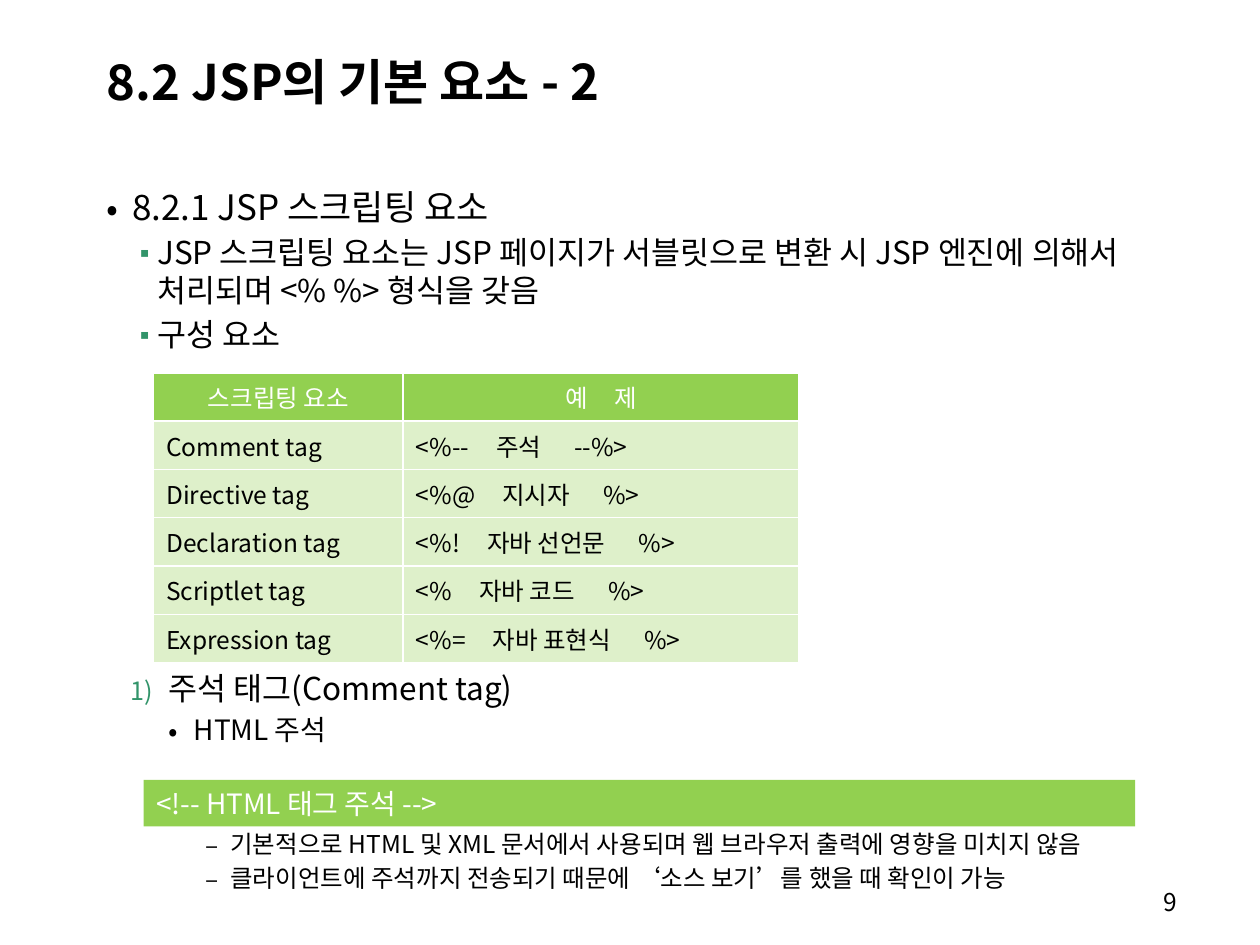
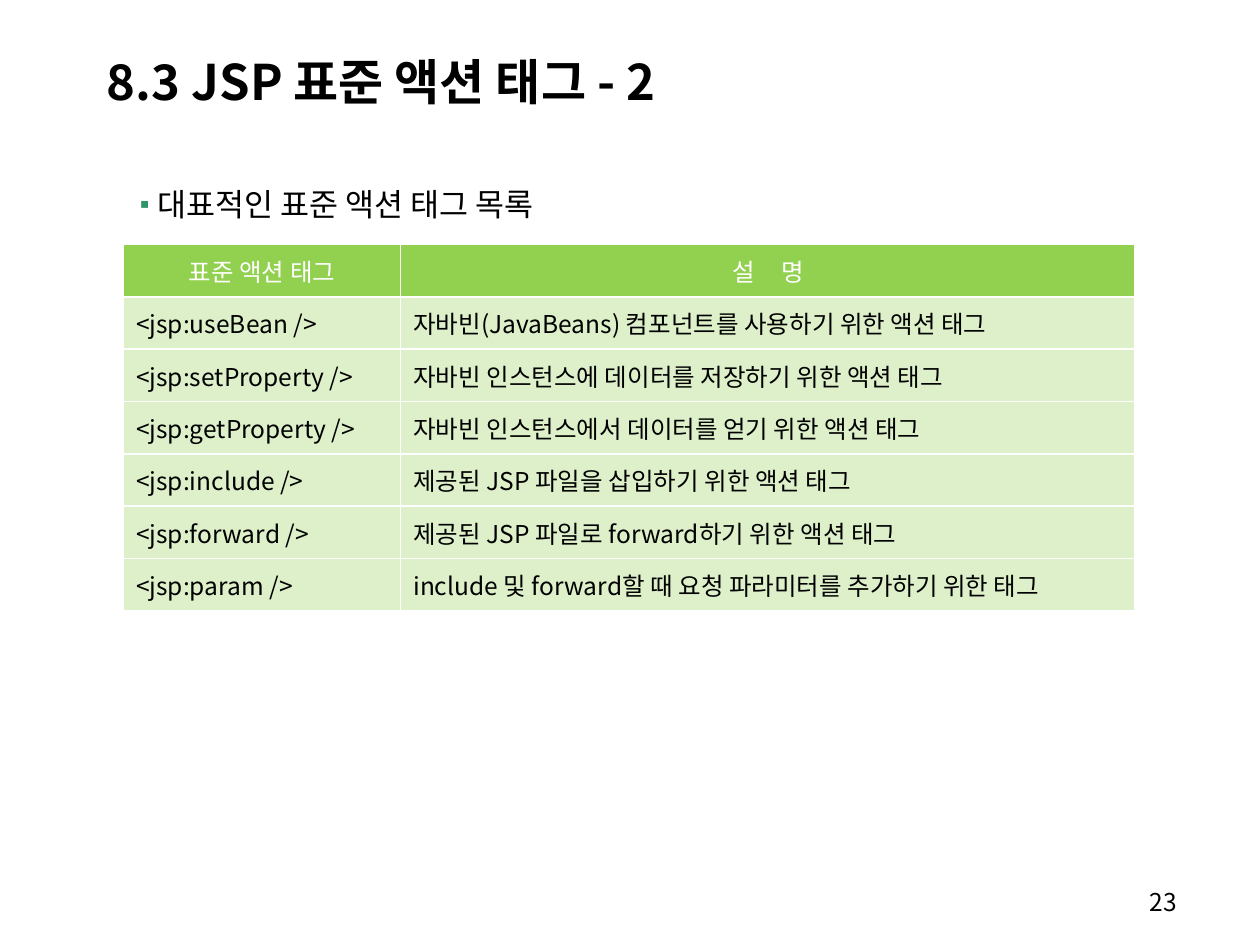
"""Builds two lecture slides on JSP scripting elements and standard action tags."""
from lxml import etree
from pptx import Presentation
from pptx import util as u
from pptx.dml.color import RGBColor
from pptx.enum import shapes, text
from pptx.oxml.ns import qn

WIDTH, HEIGHT = 10, 7.5
FONT = "Noto Sans CJK KR"
BLACK, WHITE, GREEN, BULLET_GREEN = "000000", "FFFFFF", "92D050", "32946A"
TINT = 30
LEFT, BODY_TOP, BODY_WIDTH = 0.75, 1.42, 8.73
SPACE_SHARE = 0.2
LATIN_SPACE, HANGUL_SPACE = 0.22, 0.28

# style: level, left indent, hanging indent, size, bullet, bullet colour
STYLES = {
    "topic": (0, 0.2, 0.2, 20, "•", None),
    "point": (1, 0.4, 0.2, 18, "▪", BULLET_GREEN),
    "number": (1, 0.49, 0.3, 18, "arabicParenR", BULLET_GREEN),
    "detail": (2, 0.69, 0.2, 16, "•", None),
    "note": (3, 0.98, 0.2, 14, "–", None),
}

# a cell given as a tuple has its parts set apart by a gap of that many spaces
SLIDES = [
    {
        "title": "8.2 JSP의 기본 요소 - 2",
        "number": "9",
        "bodies": [
            (BODY_TOP, 1.5, [
                ("topic", "8.2.1 JSP 스크립팅 요소"),
                ("point", "JSP 스크립팅 요소는 JSP 페이지가 서블릿으로 변환 시 JSP 엔진에 의해서 "
                          "처리되며 <% %> 형식을 갖음"),
                ("point", "구성 요소"),
            ]),
            (5.26, 0.75, [
                ("number", "주석 태그(Comment tag)"),
                ("detail", "HTML 주석"),
            ]),
            (6.53, 0.6, [
                ("note", "기본적으로 HTML 및 XML 문서에서 사용되며 웹 브라우저 출력에 영향을 미치지 않음"),
                ("note", "클라이언트에 주석까지 전송되기 때문에 ‘소스 보기’를 했을 때 확인이 가능"),
            ]),
        ],
        "table": {
            "left": 1.22, "top": 2.96, "columns": (1.98, 3.14), "height": 2.3,
            "cells": [
                ("스크립팅 요소", (4, "예", "제")),
                ("Comment tag", (5, "<%--", "주석", "--%>")),
                ("Directive tag", (5, "<%@", "지시자", "%>")),
                ("Declaration tag", (5, "<%!", "자바 선언문", "%>")),
                ("Scriptlet tag", (5, "<%", "자바 코드", "%>")),
                ("Expression tag", (5, "<%=", "자바 표현식", "%>")),
            ],
        },
        "band": "<!-- HTML 태그 주석 -->",
    },
    {
        "title": "8.3 JSP 표준 액션 태그 - 2",
        "number": "23",
        "bodies": [(BODY_TOP, 0.5, [("point", "대표적인 표준 액션 태그 목록")])],
        "table": {
            "left": 0.98, "top": 1.94, "columns": (2.2, 5.83), "height": 2.91,
            "cells": [
                ("표준 액션 태그", (4, "설", "명")),
                ("<jsp:useBean />", "자바빈(JavaBeans) 컴포넌트를 사용하기 위한 액션 태그"),
                ("<jsp:setProperty />", "자바빈 인스턴스에 데이터를 저장하기 위한 액션 태그"),
                ("<jsp:getProperty />", "자바빈 인스턴스에서 데이터를 얻기 위한 액션 태그"),
                ("<jsp:include />", "제공된 JSP 파일을 삽입하기 위한 액션 태그"),
                ("<jsp:forward />", "제공된 JSP 파일로 forward하기 위한 액션 태그"),
                ("<jsp:param />", "include 및 forward할 때 요청 파라미터를 추가하기 위한 태그"),
            ],
        },
    },
]


def color(value):
    return RGBColor.from_string(value)


def child(parent, tag, **attributes):
    return etree.SubElement(parent, qn(tag), attributes)


def set_font(para, size, ink=BLACK, bold=False):
    font = para.font
    font.size, font.bold, font.name = u.Pt(size), bold, FONT
    font.color.rgb = color(ink)


def paint(target, fill_color):
    target.fill.solid()
    target.fill.fore_color.rgb = color(fill_color)


def add_box(page, left, top, width, height, anchor=text.MSO_ANCHOR.TOP):
    box = page.shapes.add_textbox(*map(u.Inches, (left, top, width, height)))
    box.text_frame.word_wrap = True
    box.text_frame.vertical_anchor = anchor
    return box.text_frame


def add_line(page, words, place, size, bold=False, align=text.PP_ALIGN.LEFT):
    para = add_box(page, *place, anchor=text.MSO_ANCHOR.MIDDLE).paragraphs[0]
    para.text, para.alignment = words, align
    set_font(para, size, bold=bold)


def style_bullet(para, left, hanging, bullet, bullet_color):
    props = para._p.get_or_add_pPr()
    props.set("marL", str(u.Inches(left)))
    props.set("indent", str(-u.Inches(hanging)))
    if bullet_color:
        child(child(props, "a:buClr"), "a:srgbClr", val=bullet_color)
        child(props, "a:buSzPct", val="80000")
    if len(bullet) == 1:
        child(props, "a:buFont", typeface=FONT)
        child(props, "a:buChar", char=bullet)
    else:
        child(props, "a:buAutoNum", type=bullet)


def add_body(page, top, height, items):
    frame = add_box(page, LEFT, top, BODY_WIDTH, height)
    for index, (style, words) in enumerate(items):
        level, left, hanging, size, bullet, bullet_color = STYLES[style]
        para = frame.add_paragraph() if index else frame.paragraphs[0]
        para.text, para.level = words, level
        style_bullet(para, left, hanging, bullet, bullet_color)
        para.space_before = u.Pt(size * SPACE_SHARE if index else 0)
        set_font(para, size)


def write_parts(para, content, size):
    if isinstance(content, str):
        para.text = content
        return
    spaces, *parts = content
    for index, part in enumerate(parts):
        if index:
            gap = para.add_run()
            gap.text = " "
            space = LATIN_SPACE if parts[index - 1].isascii() else HANGUL_SPACE
            extra = (spaces - 1) * space * size
            gap.font._element.set("spc", str(round(extra * 100)))
        para.add_run().text = part


def add_borders(cell):
    props = cell._tc.get_or_add_tcPr()
    for index, side in enumerate(("a:lnL", "a:lnR", "a:lnT", "a:lnB")):
        line = etree.Element(qn(side), w=str(u.Pt(1)))
        child(child(line, "a:solidFill"), "a:srgbClr", val=WHITE)
        props.insert(index, line)


def add_grid(page, left, top, columns, height, cells):
    size = 14
    place = map(u.Inches, (left, top, sum(columns), height))
    table = page.shapes.add_table(len(cells), len(columns), *place).table
    table.first_row = table.horz_banding = False
    for column, width in zip(table.columns, columns):
        column.width = u.Inches(width)
    for row_index, contents in enumerate(cells):
        header = row_index == 0
        for column_index, content in enumerate(contents):
            cell = table.cell(row_index, column_index)
            cell.vertical_anchor = text.MSO_ANCHOR.MIDDLE
            para = cell.text_frame.paragraphs[0]
            write_parts(para, content, size)
            para.alignment = text.PP_ALIGN.CENTER if header else text.PP_ALIGN.LEFT
            set_font(para, size, WHITE if header else BLACK)
            paint(cell, GREEN)
            if not header:
                tone = next(cell._tc.tcPr.iter(qn("a:srgbClr")))
                child(tone, "a:alpha", val=str(TINT * 1000))
            add_borders(cell)


def add_band(page, words):
    place = map(u.Inches, (1.14, 6.19, 7.87, 0.37))
    band = page.shapes.add_shape(shapes.MSO_SHAPE.RECTANGLE, *place)
    band.shadow.inherit = False
    paint(band, GREEN)
    band.line.fill.background()
    band.text_frame.vertical_anchor = text.MSO_ANCHOR.MIDDLE
    para = band.text_frame.paragraphs[0]
    para.text, para.alignment = words, text.PP_ALIGN.LEFT
    set_font(para, 16, WHITE)


def main():
    deck = Presentation()
    deck.slide_width, deck.slide_height = u.Inches(WIDTH), u.Inches(HEIGHT)
    for content in SLIDES:
        page = deck.slides.add_slide(deck.slide_layouts[6])
        add_line(page, content["title"], (LEFT, 0.13, WIDTH - LEFT, 1.02), 28, bold=True)
        for body in content["bodies"]:
            add_body(page, *body)
        add_line(page, content["number"], (7.36, 6.98, 2.08, 0.35), 14,
                 align=text.PP_ALIGN.RIGHT)
        add_grid(page, **content["table"])
        if "band" in content:
            add_band(page, content["band"])
    deck.save("out.pptx")


if __name__ == "__main__":
    main()
